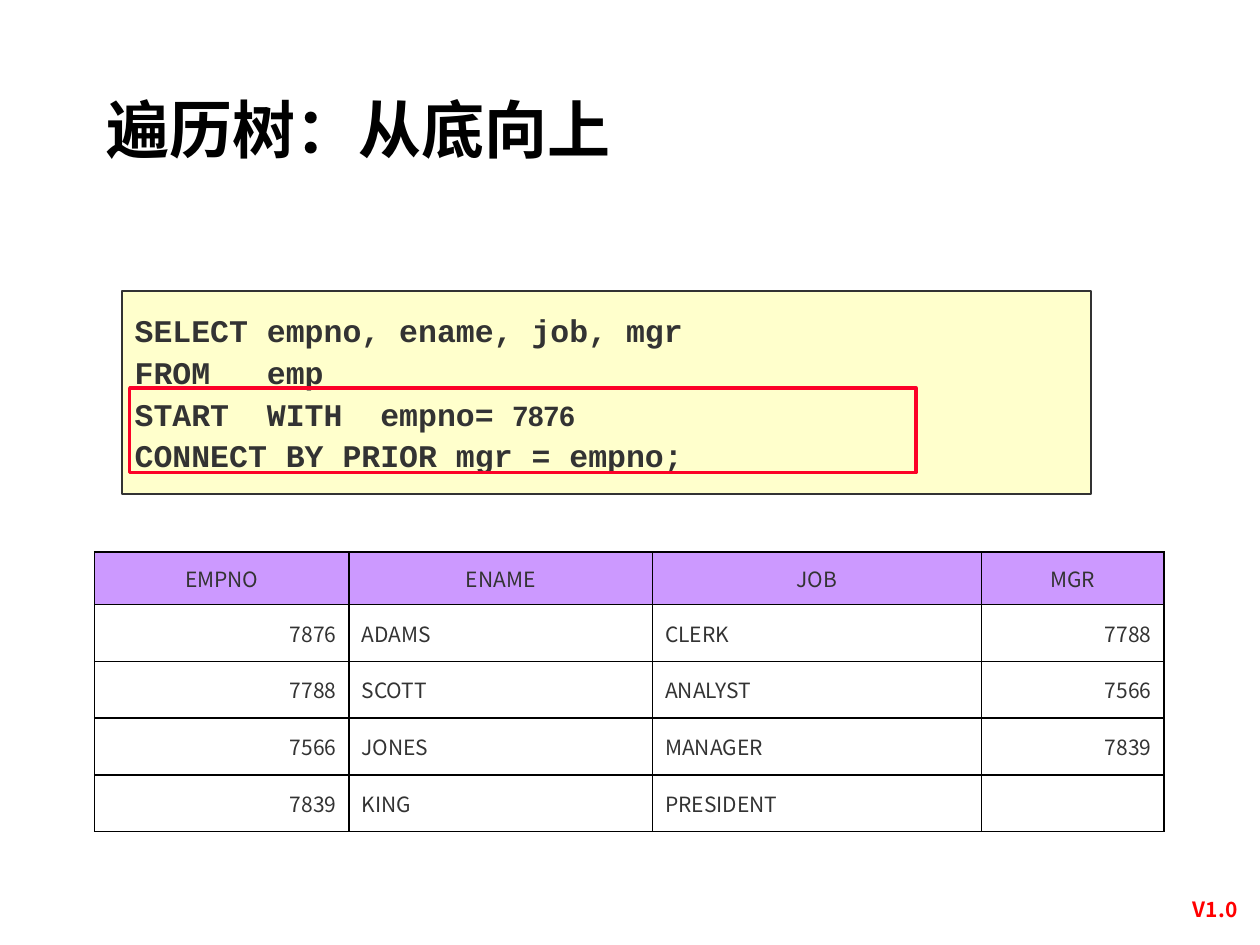
from pptx import Presentation
from pptx.dml.color import RGBColor
from pptx.enum.shapes import MSO_SHAPE as Shape
from pptx.enum.text import MSO_ANCHOR as Anchor, PP_ALIGN as Align
from pptx.oxml.ns import qn
from pptx.util import Inches, Pt
from lxml.etree import SubElement

BLACK = RGBColor(0, 0, 0)
DARK = RGBColor(0x33, 0x33, 0x33)
RED = RGBColor(0xFF, 0, 0)
CRIMSON = RGBColor(0xFC, 0x01, 0x28)
CREAM = RGBColor(0xFF, 0xFF, 0xCC)
LILAC = RGBColor(0xCC, 0x99, 0xFF)
SANS = "Noto Sans CJK SC"
MONO = "Courier New"

HEADINGS = ["EMPNO", "ENAME", "JOB", "MGR"]
EMPLOYEES = [
    ["7876", "ADAMS", "CLERK", "7788"],
    ["7788", "SCOTT", "ANALYST", "7566"],
    ["7566", "JONES", "MANAGER", "7839"],
    ["7839", "KING", "PRESIDENT", ""],
]
COLUMN_WIDTHS = [2.02, 2.41, 2.61, 1.45]
HEADER_HEIGHT = 0.42
ROW_HEIGHT = 0.45


def add_span(para, text, size=12, font=SANS, color=DARK, bold=False):
    span = para.add_run()
    span.text = text
    span.font.size = Pt(size)
    span.font.name = font
    span.font.bold = bold
    span.font.color.rgb = color
    SubElement(span.font._element, qn("a:ea"), typeface=font)


def add_text_box(page, left, top, width, height):
    box = page.shapes.add_textbox(Inches(left), Inches(top), Inches(width), Inches(height))
    box.text_frame.word_wrap = True
    return box.text_frame


def add_rectangle(page, left, top, width, height, line, weight, fill=None):
    box = page.shapes.add_shape(
        Shape.RECTANGLE, Inches(left), Inches(top), Inches(width), Inches(height)
    )
    box.shadow.inherit = False
    if fill is None:
        box.fill.background()
    else:
        box.fill.solid()
        box.fill.fore_color.rgb = fill
    box.line.color.rgb = line
    box.line.width = Pt(weight)


def add_query(page):
    code = {"size": 18, "font": MONO, "bold": True}
    lines = [
        ([("SELECT empno, ename, job, mgr", code)], 1.0),
        ([("FROM   emp", code)], 1.05),
        ([("START  WITH  empno= ", code), ("7876", {"size": 16, "font": "Arial", "bold": True})], 1.05),
        ([("CONNECT BY PRIOR mgr = empno;", code)], 1.0),
    ]
    frame = add_text_box(page, 0.97, 2.42, 7.58, 1.33)
    for index, (spans, spacing) in enumerate(lines):
        para = frame.add_paragraph() if index else frame.paragraphs[0]
        para.line_spacing = spacing
        para.space_before = Pt(1.4)
        for text, style in spans:
            add_span(para, text, **style)


def add_borders(cell):
    properties = cell._tc.get_or_add_tcPr()
    for side in ("lnL", "lnR", "lnT", "lnB"):
        border = SubElement(properties, qn(f"a:{side}"), w=str(Pt(1)))
        fill = SubElement(border, qn("a:solidFill"))
        SubElement(fill, qn("a:srgbClr"), val=str(BLACK))


def fill_cell(cell, text, align, fill=None):
    add_borders(cell)
    if fill is None:
        cell.fill.background()
    else:
        cell.fill.solid()
        cell.fill.fore_color.rgb = fill
    cell.vertical_anchor = Anchor.MIDDLE
    para = cell.text_frame.paragraphs[0]
    para.alignment = align
    if text:
        add_span(para, text)


def add_employee_table(page):
    height = HEADER_HEIGHT + ROW_HEIGHT * len(EMPLOYEES)
    table = page.shapes.add_table(
        len(EMPLOYEES) + 1, len(HEADINGS),
        Inches(0.75), Inches(4.38), Inches(sum(COLUMN_WIDTHS)), Inches(height),
    ).table
    table.first_row = False
    table.horz_banding = False
    for column, width in zip(table.columns, COLUMN_WIDTHS):
        column.width = Inches(width)
    for index, row in enumerate(table.rows):
        row.height = Inches(ROW_HEIGHT if index else HEADER_HEIGHT)
    for column, heading in enumerate(HEADINGS):
        fill_cell(table.cell(0, column), heading, Align.CENTER, LILAC)
        align = Align.RIGHT if heading in ("EMPNO", "MGR") else Align.LEFT
        for row, employee in enumerate(EMPLOYEES, start=1):
            fill_cell(table.cell(row, column), employee[column], align)


def main():
    deck = Presentation()
    deck.slide_width, deck.slide_height = Inches(10), Inches(7.5)
    page = deck.slides.add_slide(deck.slide_layouts[6])

    version = add_text_box(page, 9.25, 7.07, 0.79, 0.3).paragraphs[0]
    version.alignment = Align.CENTER
    add_span(version, "V1.0", color=RED, bold=True)

    title = add_text_box(page, 0.75, 0.67, 8.5, 1.25).paragraphs[0]
    add_span(title, "遍历树：从底向上", size=36, color=BLACK, bold=True)

    add_rectangle(page, 0.97, 2.31, 7.69, 1.61, DARK, 1, CREAM)
    add_query(page)
    add_rectangle(page, 1.03, 3.08, 6.24, 0.67, CRIMSON, 2)
    add_employee_table(page)
    deck.save("out.pptx")


if __name__ == "__main__":
    main()
